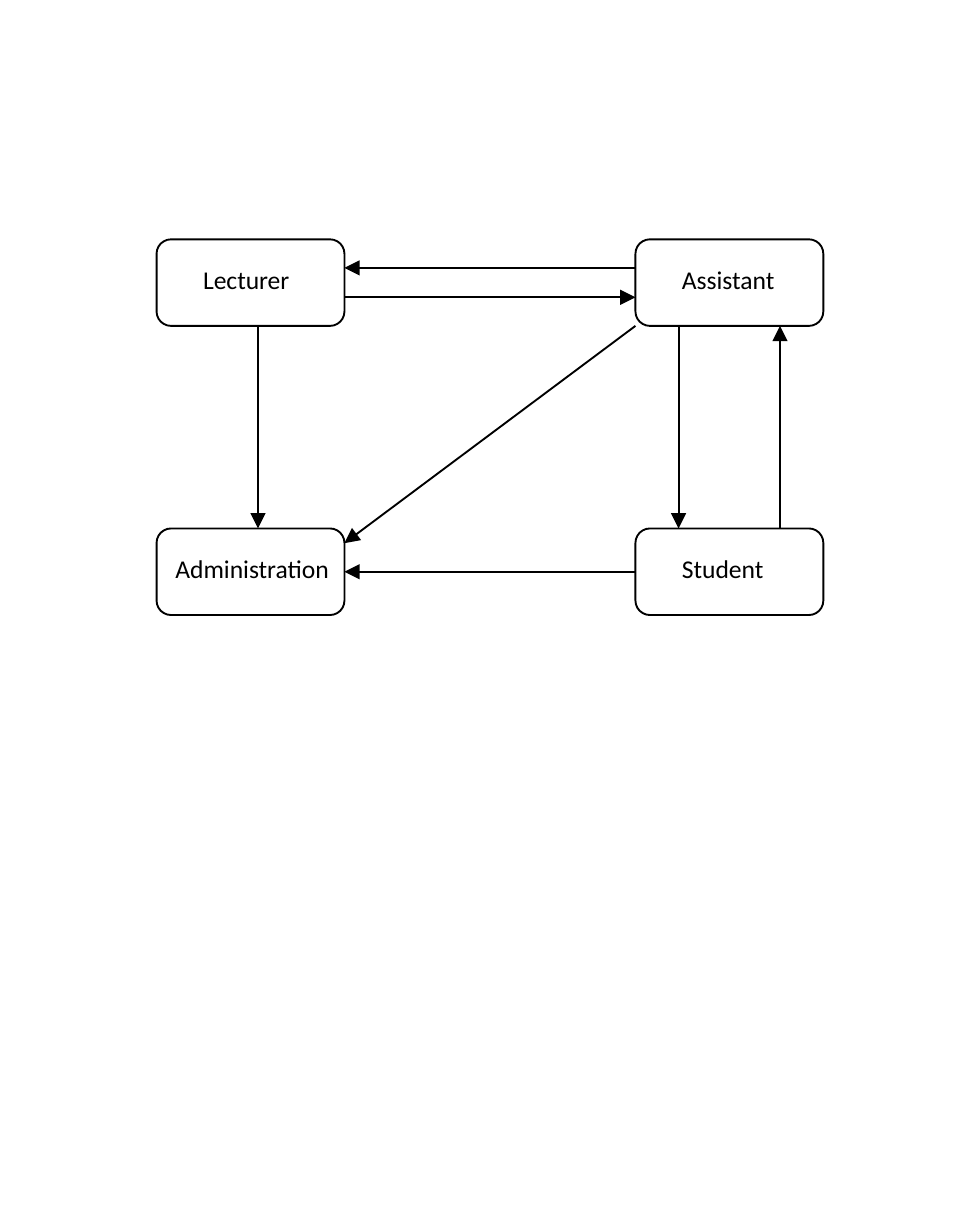
from dataclasses import dataclass

from lxml import etree
from pptx import Presentation
from pptx.dml.color import RGBColor
from pptx.enum.shapes import MSO_CONNECTOR, MSO_SHAPE
from pptx.enum.text import MSO_ANCHOR, PP_ALIGN
from pptx.oxml.ns import qn
from pptx.util import Inches, Pt

BOX = MSO_SHAPE.FLOWCHART_ALTERNATE_PROCESS
STRAIGHT = MSO_CONNECTOR.STRAIGHT
LEFT, TOP = PP_ALIGN.LEFT, MSO_ANCHOR.TOP
SIDE_SITES = {(0.5, 0): 0, (0, 0.5): 1, (0.5, 1): 2, (1, 0.5): 3}


@dataclass(frozen=True)
class Theme:
    """Colours, type and line sizes of the diagram."""
    ink: RGBColor = RGBColor(0, 0, 0)
    font: str = "Calibri"
    text_size: Pt = Pt(10)
    line_width: Pt = Pt(0.75)


@dataclass(frozen=True)
class Grid:
    """Origin, pitch and cell size of the box grid in inches."""
    left: float = 0.85
    top: float = 1.3
    col_pitch: float = 2.6
    row_pitch: float = 1.57
    width: float = 1.02
    height: float = 0.47


class Diagram:
    """Draws boxes and arrows on one slide in one style."""

    def __init__(self, slide, theme, grid):
        self.s, self.theme, self.grid = slide, theme, grid

    def outline(self, line):
        line.color.rgb = self.theme.ink
        line.width = self.theme.line_width

    def box(self, text, col, row, indent):
        g = self.grid
        sp = self.s.shapes.add_shape(
            BOX, Inches(g.left + col * g.col_pitch), Inches(g.top + row * g.row_pitch),
            Inches(g.width), Inches(g.height))
        sp.shadow.inherit = False
        sp.fill.background()
        self.outline(sp.line)
        tf = sp.text_frame
        tf.word_wrap = True
        tf.vertical_anchor = TOP
        tf.margin_left, tf.margin_top = Inches(indent), Inches(0.11)
        tf.margin_right = tf.margin_bottom = 0
        p = tf.paragraphs[0]
        p.text = text
        p.alignment = LEFT
        p.font.name = self.theme.font
        p.font.size = self.theme.text_size
        p.font.color.rgb = self.theme.ink
        return sp

    def arrow(self, start, start_at, end, end_at):
        points = [(sp.left + round(sp.width * x), sp.top + round(sp.height * y))
                  for sp, (x, y) in ((start, start_at), (end, end_at))]
        cxn = self.s.shapes.add_connector(STRAIGHT, *points[0], *points[1])
        if start_at in SIDE_SITES:
            cxn.begin_connect(start, SIDE_SITES[start_at])
        if end_at in SIDE_SITES:
            cxn.end_connect(end, SIDE_SITES[end_at])
        self.outline(cxn.line)
        etree.SubElement(cxn.line._get_or_add_ln(), qn("a:tailEnd"), type="triangle")
        etree.SubElement(cxn._element.spPr, qn("a:effectLst"))


def main():
    prs = Presentation()
    prs.slide_width, prs.slide_height = Inches(5.31), Inches(6.69)
    d = Diagram(prs.slides.add_slide(prs.slide_layouts[6]), Theme(), Grid())

    lecturer = d.box("Lecturer", 0, 0, 0.23)
    administration = d.box("Administration", 0, 1, 0.08)
    assistant = d.box("Assistant", 1, 0, 0.23)
    student = d.box("Student", 1, 1, 0.23)

    arrows = [
        (assistant, (0.23, 1), student, (0.23, 0)),
        (student, (0.77, 0), assistant, (0.77, 1)),
        (lecturer, (1, 0.67), assistant, (0, 0.67)),
        (assistant, (0, 0.33), lecturer, (1, 0.33)),
        (lecturer, (0.54, 1), administration, (0.54, 0)),
        (assistant, (0, 1), administration, (1, 0.17)),
        (student, (0, 0.5), administration, (1, 0.5)),
    ]
    for arrow in arrows:
        d.arrow(*arrow)
    prs.save("out.pptx")


if __name__ == "__main__":
    main()
